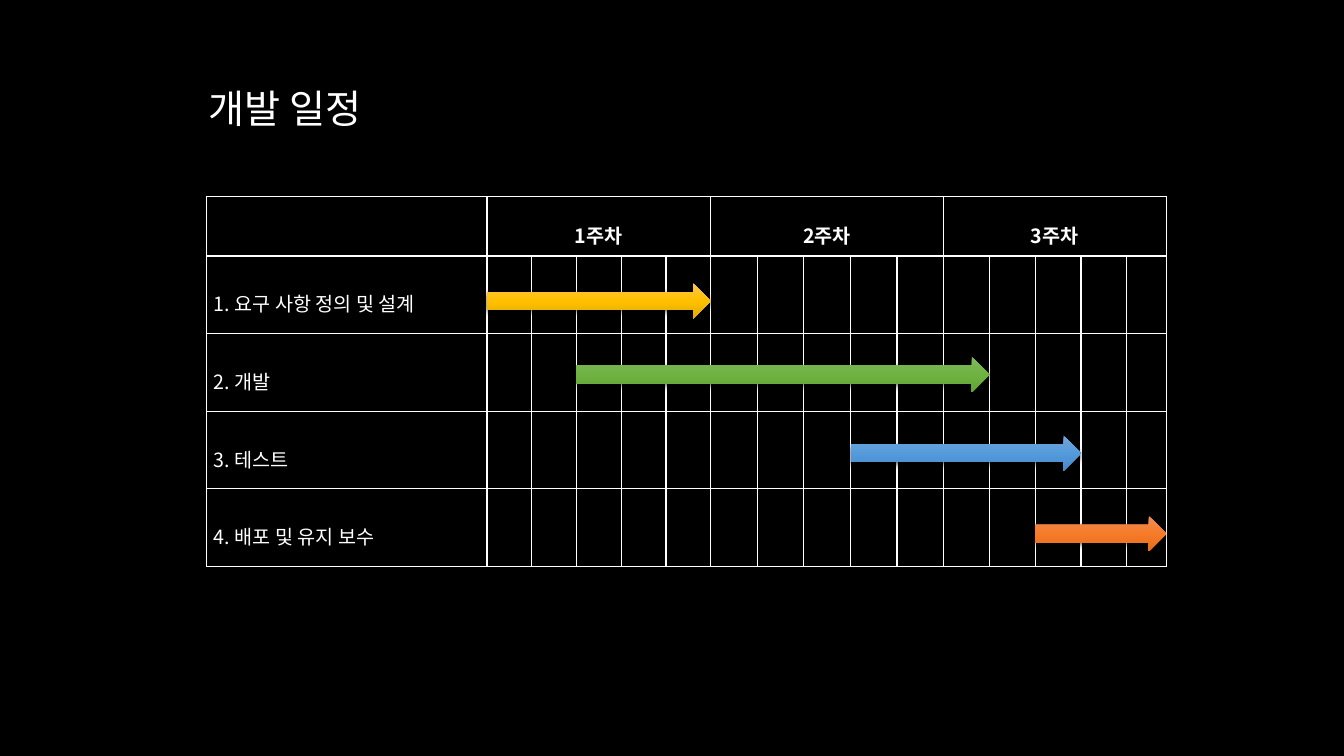
"""Build a development schedule slide with a three-week Gantt table."""
from itertools import accumulate
from lxml import etree
from pptx import Presentation
from pptx.dml.color import RGBColor
from pptx.enum.shapes import MSO_SHAPE as Shape
from pptx.enum.text import MSO_ANCHOR as Anchor, MSO_AUTO_SIZE as AutoSize, PP_ALIGN as Align
from pptx.oxml import parse_xml
from pptx.oxml.ns import nsdecls, qn
from pptx.util import Inches, Pt

FONT = "Noto Sans CJK KR"
COLOURS = {"background": "000000", "text": "FFFFFF", "grid": "FFFFFF", "shadow": "000000"}
GRADIENTS = {
    "yellow": ("FFC64B", "FFC000", "E3AB00"),
    "green": ("81B861", "6FB242", "62A336"),
    "blue": ("71A6DB", "559BDB", "448ACA"),
    "orange": ("F18C57", "F67B28", "E56C19"),
}
TITLE = "개발 일정"
WEEKS = [("1주차", 2.22), ("2주차", 2.31), ("3주차", 2.21)]
TASKS = [
    {"label": "1. 요구 사항 정의 및 설계", "days": (0, 5), "top": 2.81, "colour": "yellow"},
    {"label": "2. 개발", "days": (2, 11), "top": 3.54, "colour": "green"},
    {"label": "3. 테스트", "days": (8, 13), "top": 4.32, "colour": "blue"},
    {"label": "4. 배포 및 유지 보수", "days": (12, 15), "top": 5.12, "colour": "orange"},
]
DAYS_PER_WEEK = 5
LEFT, TOP = 2.05, 1.95
LABEL_WIDTH, LAST_DAY_WIDTH = 2.78, 0.39
HEADER_HEIGHT, TASK_HEIGHT, ARROW_HEIGHT = 0.59, 0.77, 0.35

day_widths = [width / DAYS_PER_WEEK for _, width in WEEKS[:-1] for _ in range(DAYS_PER_WEEK)]
short_week = DAYS_PER_WEEK - 1
day_widths += [(WEEKS[-1][1] - LAST_DAY_WIDTH) / short_week] * short_week + [LAST_DAY_WIDTH]
day_edges = list(accumulate(day_widths, initial=LEFT + LABEL_WIDTH))
column_widths = [LABEL_WIDTH] + day_widths
row_heights = [HEADER_HEIGHT] + [TASK_HEIGHT] * len(TASKS)


def write(frame, text, size=14, bold=False, align=Align.LEFT, spacing=1.0):
    paragraph = frame.paragraphs[0]
    paragraph.alignment = align
    paragraph.line_spacing = spacing
    run = paragraph.add_run()
    run.text = text
    run.font.size = Pt(size)
    run.font.bold = bold
    run.font.name = FONT
    run.font.color.rgb = RGBColor.from_string(COLOURS["text"])
    etree.SubElement(run.font._element, qn("a:ea")).set("typeface", FONT)


def write_cell(cell, text, **text_format):
    cell.vertical_anchor = Anchor.MIDDLE
    cell.margin_left = cell.margin_right = Inches(0.07)
    cell.margin_top = cell.margin_bottom = Inches(0.02)
    write(cell.text_frame, text, spacing=1.6, **text_format)


def outline(cell):
    cell.fill.background()
    properties = cell._tc.get_or_add_tcPr()
    for index, side in enumerate("LRTB"):
        properties.insert(index, parse_xml(
            f'<a:ln{side} {nsdecls("a")} w="{Pt(1)}"><a:solidFill>'
            f'<a:srgbClr val="{COLOURS["grid"]}"/></a:solidFill></a:ln{side}>'))


def add_bar(shapes, days, top, colour):
    start, end = (day_edges[day] for day in days)
    bar = shapes.add_shape(Shape.RIGHT_ARROW, Inches(start), Inches(top),
                           Inches(end - start), Inches(ARROW_HEIGHT))
    bar.line.fill.background()
    bar.fill.gradient()
    bar.fill.gradient_angle = 270
    stops = bar._element.spPr.find(f'{qn("a:gradFill")}/{qn("a:gsLst")}')
    stops.clear()
    for position, shade in zip((0, 50000, 100000), GRADIENTS[colour]):
        stops.append(parse_xml(f'<a:gs {nsdecls("a")} pos="{position}">'
                               f'<a:srgbClr val="{shade}"/></a:gs>'))
    bar.shadow.inherit = False
    bar._element.spPr.find(qn("a:effectLst")).append(parse_xml(
        f'<a:outerShdw {nsdecls("a")} blurRad="{Pt(4.5)}" dist="{Pt(1.5)}" dir="5400000" '
        f'algn="ctr" rotWithShape="0"><a:srgbClr val="{COLOURS["shadow"]}">'
        '<a:alpha val="63000"/></a:srgbClr></a:outerShdw>'))


def main():
    deck = Presentation()
    deck.slide_width, deck.slide_height = Inches(13.33), Inches(7.5)
    slide = deck.slides.add_slide(deck.slide_layouts[6])
    slide.background.fill.solid()
    slide.background.fill.fore_color.rgb = RGBColor.from_string(COLOURS["background"])

    title = slide.shapes.add_textbox(Inches(1.97), Inches(0.79), Inches(3.87), Inches(0.57))
    title.text_frame.word_wrap = True
    title.text_frame.auto_size = AutoSize.SHAPE_TO_FIT_TEXT
    write(title.text_frame, TITLE, size=28)

    schedule = slide.shapes.add_table(
        len(row_heights), len(column_widths), Inches(LEFT), Inches(TOP),
        Inches(sum(column_widths)), Inches(sum(row_heights))).table
    schedule.first_row = schedule.horz_banding = False
    for column, width in zip(schedule.columns, column_widths):
        column.width = Inches(width)
    for row, height in zip(schedule.rows, row_heights):
        row.height = Inches(height)
    for cell in schedule.iter_cells():
        outline(cell)

    for index, (week, _) in enumerate(WEEKS):
        first = 1 + index * DAYS_PER_WEEK
        header = schedule.cell(0, first)
        header.merge(schedule.cell(0, first + DAYS_PER_WEEK - 1))
        write_cell(header, week, bold=True, align=Align.CENTER)

    for index, task in enumerate(TASKS, start=1):
        write_cell(schedule.cell(index, 0), task["label"])
        add_bar(slide.shapes, task["days"], task["top"], task["colour"])

    deck.save("out.pptx")


if __name__ == "__main__":
    main()
